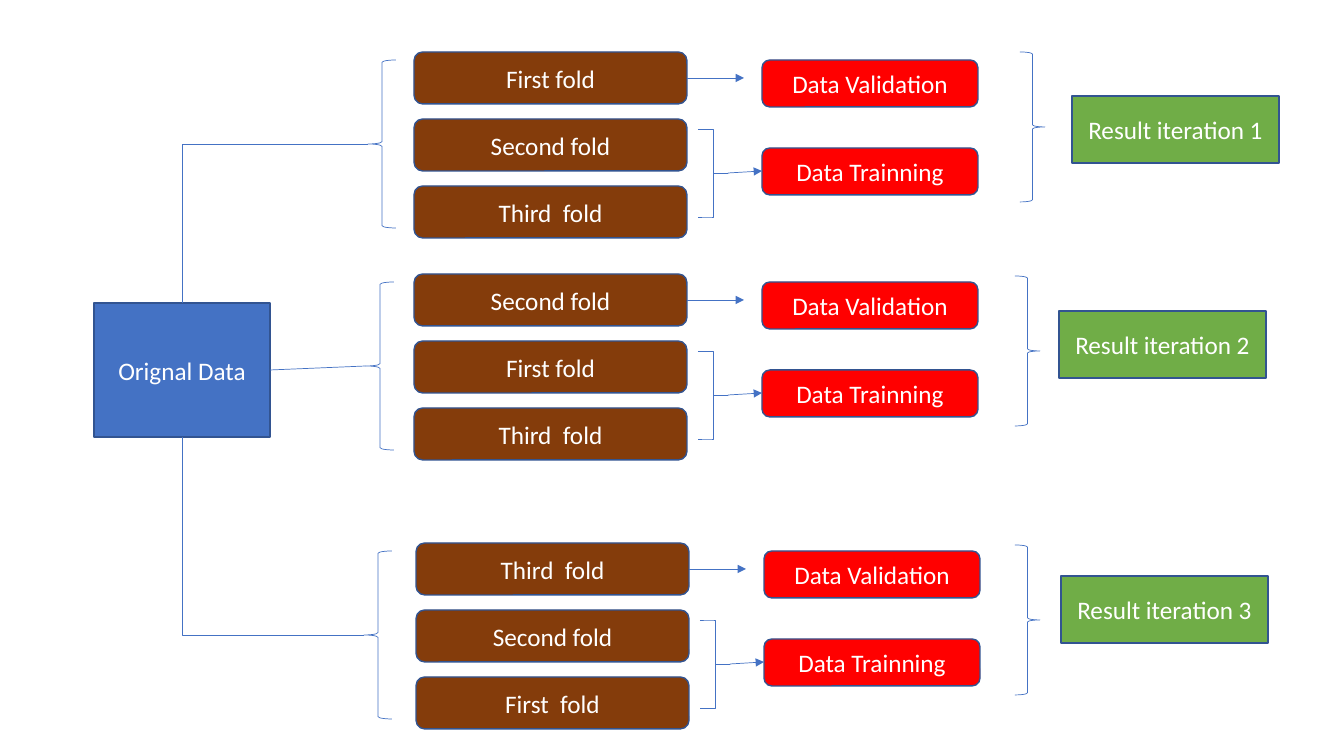
import lxml.etree
import pptx
import pptx.dml.color
import pptx.enum.shapes
import pptx.enum.text
import pptx.oxml.ns
import pptx.util

RGBColor = pptx.dml.color.RGBColor
SHAPES = pptx.enum.shapes.MSO_SHAPE
CONNECTORS = pptx.enum.shapes.MSO_CONNECTOR

BLUE = RGBColor(0x44, 0x72, 0xC4)
OUTLINE = RGBColor(0x32, 0x54, 0x91)
BROWN = RGBColor(0x84, 0x3C, 0x0B)
RED = RGBColor(0xFF, 0x00, 0x00)
GREEN = RGBColor(0x70, 0xAD, 0x47)
WHITE = RGBColor(0xFF, 0xFF, 0xFF)

EMU_PER_PIXEL = 914400 / 100.8
TOP, LEFT, BOTTOM, RIGHT = range(4)  # connection sites

FOLD_WIDTH, FOLD_HEIGHT, FOLD_STEP = 273, 52, 67
DATA_WIDTH, DATA_HEIGHT = 216, 47

# fold names, folds' corner, split brace x, merge brace corner, result corner
ITERATIONS = [
    (["First fold", "Second fold", "Third  fold"], (414, 52), 368, (1020, 52), (1072, 96)),
    (["Second fold", "First fold", "Third  fold"], (414, 274), 366, (1015, 276), (1059, 311)),
    (["Third  fold", "Second fold", "First  fold"], (416, 543), 364, (1015, 545), (1061, 576)),
]


def emu(pixels):
    """Turn pixels into EMU."""
    return pptx.util.Emu(round(pixels * EMU_PER_PIXEL))


class Diagram:
    """Holds the diagram's style and the slide it is drawn on."""

    font_name = "Calibri"
    font_size = pptx.util.Pt(18)
    box_line = pptx.util.Pt(1)
    thin_line = pptx.util.Pt(0.5)

    def __init__(self, slide):
        """Draw on the given slide."""
        self.slide = slide

    def box(self, text, x, y, width, height, fill, kind=SHAPES.ROUNDED_RECTANGLE):
        """Add a filled box with centred white text."""
        shape = self.slide.shapes.add_shape(kind, emu(x), emu(y), emu(width), emu(height))
        shape.shadow.inherit = False
        shape.fill.solid()
        shape.fill.fore_color.rgb = fill
        shape.line.color.rgb = OUTLINE
        shape.line.width = self.box_line
        frame = shape.text_frame
        frame.text = text
        frame.vertical_anchor = pptx.enum.text.MSO_ANCHOR.MIDDLE
        paragraph = frame.paragraphs[0]
        paragraph.alignment = pptx.enum.text.PP_ALIGN.CENTER
        font = paragraph.runs[0].font
        font.name, font.size, font.color.rgb = self.font_name, self.font_size, WHITE
        return shape

    def brace(self, kind, x, y, width, height, square=False):
        """Add a thin brace, with square corners if asked."""
        shape = self.slide.shapes.add_shape(kind, emu(x), emu(y), emu(width), emu(height))
        shape.shadow.inherit = False
        shape.fill.background()
        shape.line.color.rgb = BLUE
        shape.line.width = self.thin_line
        if square:
            shape.adjustments[0] = 0
        return shape

    def line(self, start, end, kind=CONNECTORS.STRAIGHT, arrow=False):
        """Add a thin connector, with an arrowhead at its end if asked."""
        connector = self.slide.shapes.add_connector(kind, *map(emu, (*start, *end)))
        connector.line.color.rgb = BLUE
        connector.line.width = self.thin_line
        properties = connector._element.spPr
        if arrow:
            outline = properties.find(pptx.oxml.ns.qn("a:ln"))
            head = lxml.etree.SubElement(outline, pptx.oxml.ns.qn("a:tailEnd"))
            head.set("type", "triangle")
        lxml.etree.SubElement(properties, pptx.oxml.ns.qn("a:effectLst"))
        return connector

    def link(self, brace, box, site):
        """Glue a brace's point to a site of a box, with one bend above or below it."""
        bent = site in (TOP, BOTTOM)
        connector = self.line((0, 0), (0, 0), CONNECTORS.ELBOW if bent else CONNECTORS.STRAIGHT)
        connector.begin_connect(brace, LEFT)
        connector.end_connect(box, site)
        if bent:
            geometry = connector._element.spPr.find(pptx.oxml.ns.qn("a:prstGeom"))
            geometry.set("prst", "bentConnector2")

    def iteration(self, number, folds, corner, split_x, merge, result):
        """Add one row of the cross-validation and return its left brace."""
        x, y = corner
        for index, fold in enumerate(folds):
            self.box(fold, x, y + index * FOLD_STEP, FOLD_WIDTH, FOLD_HEIGHT, BROWN)
        self.brace(SHAPES.RIGHT_BRACE, x + 284, y + 77, 30, 88, square=True)
        data_x = x + 348
        self.box("Data Validation", data_x, y + 8, DATA_WIDTH, DATA_HEIGHT, RED)
        self.box("Data Trainning", data_x, y + 96, DATA_WIDTH, DATA_HEIGHT, RED)
        self.line((x + FOLD_WIDTH, y + 26), (x + 330, y + 26), arrow=True)
        self.line((x + 314, y + 121), (data_x, y + 119), arrow=True)
        self.brace(SHAPES.RIGHT_BRACE, *merge, 25, 150)
        self.box(f"Result iteration {number}", *result, 207, 67, GREEN, SHAPES.RECTANGLE)
        return self.brace(SHAPES.LEFT_BRACE, split_x, y + 8, 28, 168)


def main():
    """Build and save the slide."""
    presentation = pptx.Presentation()
    presentation.slide_width = emu(1344)
    presentation.slide_height = emu(756)
    diagram = Diagram(presentation.slides.add_slide(presentation.slide_layouts[6]))
    source = diagram.box("Orignal Data", 94, 303, 176, 134, BLUE, SHAPES.RECTANGLE)
    sites = (TOP, RIGHT, BOTTOM)
    for number, (site, row) in enumerate(zip(sites, ITERATIONS), start=1):
        diagram.link(diagram.iteration(number, *row), source, site)
    presentation.save("out.pptx")


main()
